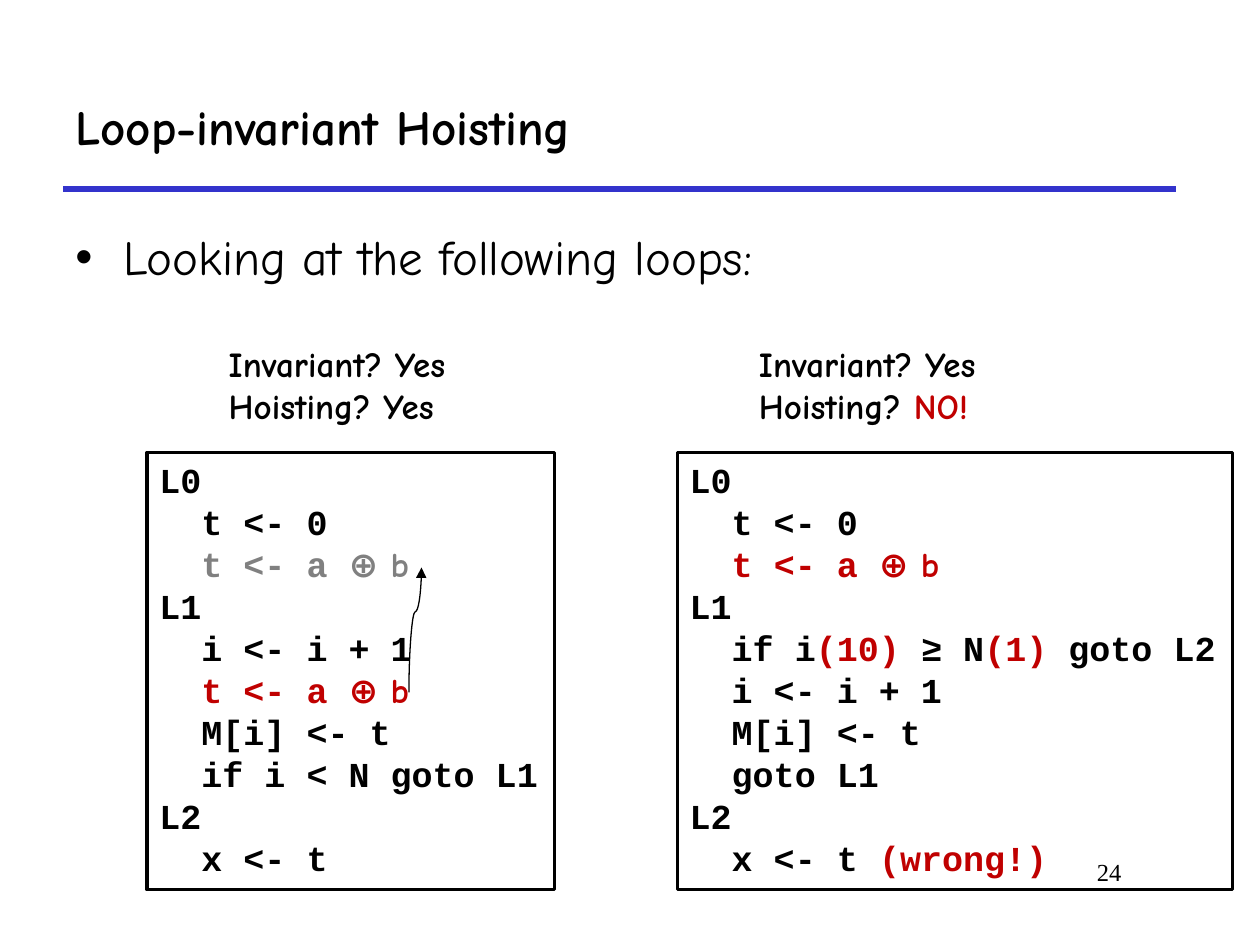
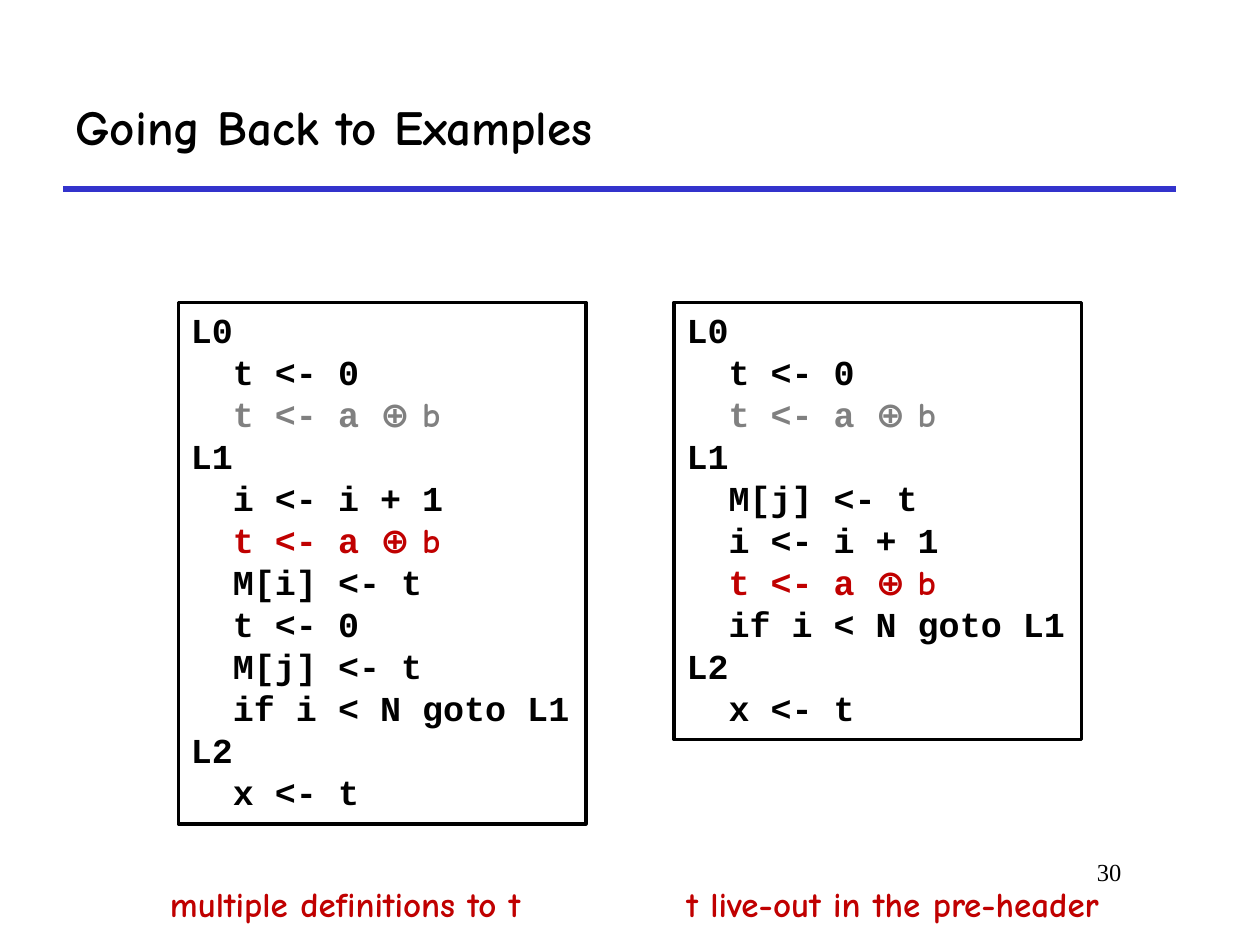
from dataclasses import dataclass

from lxml import etree
from pptx import Presentation
from pptx.dml.color import RGBColor
from pptx.enum import shapes, text
from pptx.oxml.ns import qn
from pptx.util import Inches, Length, Pt

# Shared look
COLOURS = {"ink": "000000", "rule": "3333CC", "moved": "808080", "key": "C00000"}
HAND, CODE, SERIF = "Comic Neue", "Courier New", "Times New Roman"

# Grid of 120 columns by 90 rows on a 10 by 7.5 inch slide
WIDTH, HEIGHT = Inches(10), Inches(7.5)
COLUMNS, ROWS = 120, 90
LINE_ROWS, PADDING_ROWS = 4.02, 1.44


def col(n: float) -> Length:
    return Length(round(WIDTH * n / COLUMNS))


def row(n: float) -> Length:
    return Length(round(HEIGHT * n / ROWS))


@dataclass(frozen=True)
class Run:
    words: str
    colour: str = "ink"
    font: str | None = None


Line = list[Run]


@dataclass(frozen=True)
class Area:
    left: float
    top: float
    width: float
    height: float

    def place(self) -> tuple[Length, Length, Length, Length]:
        return col(self.left), row(self.top), col(self.width), row(self.height)


@dataclass(frozen=True)
class Listing:
    left: float
    top: float
    width: float
    lines: list[Line]


@dataclass(frozen=True)
class Note:
    left: float
    top: float
    width: float
    lines: list[Line]


def plain(*lines: str, colour: str = "ink") -> list[Line]:
    return [[Run(line, colour)] for line in lines]


def xor_line(colour: str) -> Line:
    return [Run("  "), Run("t <- a ", colour), Run("⊕ b", colour, HAND)]


def paint(colour: str) -> RGBColor:
    return RGBColor.from_string(COLOURS[colour])


def write(shape, lines: list[Line], *, font: str = HAND, size: float = 20, bold: bool = True,
          align=text.PP_ALIGN.LEFT, anchor=text.MSO_ANCHOR.TOP, wrap: bool = True):
    """Fill a shape with one paragraph per line and return its text frame."""
    frame = shape.text_frame
    frame.word_wrap = wrap
    frame.vertical_anchor = anchor
    frame.auto_size = text.MSO_AUTO_SIZE.NONE if wrap else text.MSO_AUTO_SIZE.SHAPE_TO_FIT_TEXT
    for index, line in enumerate(lines):
        paragraph = frame.add_paragraph() if index else frame.paragraphs[0]
        paragraph.alignment = align
        for part in line:
            run = paragraph.add_run()
            run.text = part.words
            run.font.name = part.font or font
            run.font.size = Pt(size)
            run.font.bold = bold
            run.font.color.rgb = paint(part.colour)
    return frame


def add_text(slide, area: Area, lines: list[Line], **style):
    return write(slide.shapes.add_textbox(*area.place()), lines, **style)


def style_connector(connector, colour: str, weight: float) -> None:
    connector.line.color.rgb = paint(colour)
    connector.line.width = Pt(weight)
    etree.SubElement(connector._element.spPr, qn("a:effectLst"))


def add_page(deck, title: str, number: int):
    """Blank slide with title, rule and page number."""
    slide = deck.slides.add_slide(deck.slide_layouts[6])
    rule = slide.shapes.add_connector(
        shapes.MSO_CONNECTOR.STRAIGHT, col(6), row(18), col(112), row(18))
    style_connector(rule, "rule", 3)
    add_text(slide, Area(6, 6, 106, 12), plain(title), size=28, anchor=text.MSO_ANCHOR.MIDDLE)
    add_text(slide, Area(91, 81, 17, 6), plain(str(number)), font=SERIF, size=14,
             bold=False, align=text.PP_ALIGN.RIGHT)
    return slide


def add_bullet(slide, area: Area, words: str) -> None:
    frame = add_text(slide, area, plain(words), size=28, bold=False)
    paragraph = frame.paragraphs[0]
    paragraph.space_before = Pt(5.6)
    properties = paragraph._p.get_or_add_pPr()
    indent = Inches(0.38)
    properties.set("marL", str(indent))
    properties.set("indent", str(-indent))
    etree.SubElement(properties, qn("a:buFont"), typeface="Arial")
    etree.SubElement(properties, qn("a:buChar"), char="•")


def add_listing(slide, listing: Listing) -> None:
    area = Area(listing.left, listing.top, listing.width,
                len(listing.lines) * LINE_ROWS + PADDING_ROWS)
    frame = slide.shapes.add_shape(shapes.MSO_SHAPE.RECTANGLE, *area.place())
    frame.shadow.inherit = False
    frame.fill.background()
    frame.line.color.rgb = paint("ink")
    frame.line.width = Pt(2)
    write(frame, listing.lines, font=CODE, wrap=False)


def add_note(slide, note: Note) -> None:
    area = Area(note.left, note.top, note.width, len(note.lines) * 4 + 1.2)
    add_text(slide, area, note.lines, wrap=False)


def add_hoist_arrow(slide) -> None:
    """Curve rising from the loop body to the pre-header."""
    arrow = slide.shapes.add_connector(
        shapes.MSO_CONNECTOR.CURVE, col(45.5), row(60.6), col(33.6), row(59.4))
    style_connector(arrow, "ink", 0.75)
    properties = arrow._element.spPr
    properties.find(qn("a:xfrm")).set("rot", str(90 * 60000))
    bends = properties.find(qn("a:prstGeom")).find(qn("a:avLst"))
    etree.SubElement(bends, qn("a:gd"), name="adj1", fmla="val 64600")
    etree.SubElement(arrow.line._get_or_add_ln(), qn("a:tailEnd"), type="triangle")


# Code fragments that several listings share
ENTRY = plain("L0", "  t <- 0")
LOOP = plain("L1")
STEP = plain("  i <- i + 1")
STORE_I = plain("  M[i] <- t")
STORE_J = plain("  M[j] <- t")
REPEAT = plain("  if i < N goto L1")
EXIT = plain("L2", "  x <- t")
MOVED, KEY = [xor_line("moved")], [xor_line("key")]
HOISTED = ENTRY + MOVED + LOOP

GUARD = [[Run("  if i"), Run("(10) ", "key"), Run("≥ N"), Run("(1)", "key"), Run(" goto L2")]]
WRONG_EXIT = plain("L2") + [[Run("  x <- t "), Run("(wrong!)", "key")]]
SAFE = HOISTED + STEP + KEY + STORE_I + REPEAT + EXIT
UNSAFE = ENTRY + KEY + LOOP + GUARD + STEP + STORE_I + plain("  goto L1") + WRONG_EXIT
REDEFINED = HOISTED + STEP + KEY + STORE_I + plain("  t <- 0") + STORE_J + REPEAT + EXIT
LIVE_OUT = HOISTED + STORE_J + STEP + KEY + REPEAT + EXIT


def build_hoisting(deck) -> None:
    slide = add_page(deck, "Loop-invariant Hoisting", 24)
    add_bullet(slide, Area(6, 21, 109, 58), "Looking at the following loops:")
    for listing in (Listing(14, 43.1, 38.8, SAFE), Listing(64.5, 43.1, 52.9, UNSAFE)):
        add_listing(slide, listing)
    invariant = plain("Invariant? Yes")
    refused = [[Run("Hoisting? "), Run("NO!", "key")]]
    for note in (Note(20.6, 32, 25.4, invariant + plain("Hoisting? Yes")),
                 Note(71.1, 32, 25.4, invariant + refused)):
        add_note(slide, note)
    add_hoist_arrow(slide)


def build_examples(deck) -> None:
    slide = add_page(deck, "Going Back to Examples", 30)
    for listing in (Listing(17, 28.8, 38.8, REDEFINED), Listing(64.2, 28.8, 38.8, LIVE_OUT)):
        add_listing(slide, listing)
    for note in (Note(15, 83.5, 39.7, plain("multiple definitions to t", colour="key")),
                 Note(64.2, 83.5, 45.7, plain("t live-out in the pre-header", colour="key"))):
        add_note(slide, note)


def main() -> None:
    deck = Presentation()
    deck.slide_width, deck.slide_height = WIDTH, HEIGHT
    build_hoisting(deck)
    build_examples(deck)
    deck.save("out.pptx")


if __name__ == "__main__":
    main()
